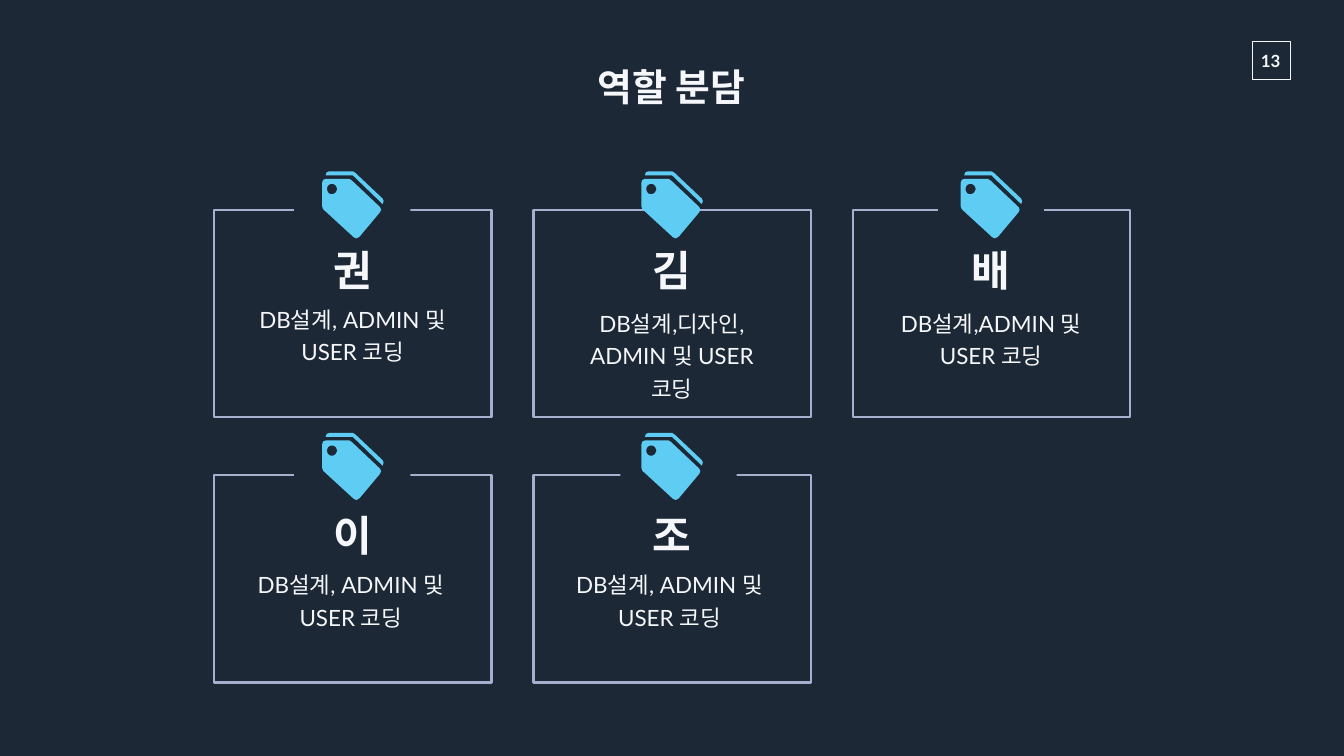
import math

import pptx
import pptx.dml.color
import pptx.enum.shapes
import pptx.enum.text
import pptx.util

Pt = pptx.util.Pt
RGB = pptx.dml.color.RGBColor
ANCHOR = pptx.enum.text.MSO_ANCHOR
NAVY = RGB(0x1C, 0x28, 0x35)
WHITE = RGB(0xF6, 0xF7, 0xFA)
STEEL = RGB(0xA6, 0xB0, 0xCE)
SKY = RGB(0x5E, 0xCC, 0xF3)

# Tag icon outlines, in hundredths of an inch
BACK = [(120, 65), (61, 8), (7, 8), (9, 2), (14, 0), (61, 0), (66, 3),
        (120, 54), (122, 59)]
FRONT = [(54, 15), (59, 18), (115, 71), (117, 76), (115, 81), (74, 130),
         (68, 133), (63, 131), (2, 75), (0, 69), (0, 23), (2, 17), (7, 15)]
HOLE = [(19.5 + 10 * math.cos(math.radians(a)),
         35 - 10 * math.sin(math.radians(a))) for a in range(0, 360, 15)]


class Deck:
    body = "Lato"
    head = "Montserrat"

    def __init__(self, wide, high):
        self.show = pptx.Presentation()
        self.show.slide_width, self.show.slide_height = Pt(wide), Pt(high)
        self.slide = self.show.slides.add_slide(self.show.slide_layouts[6])
        fill = self.slide.background.fill
        fill.solid()
        fill.fore_color.rgb = NAVY

    def paint(self, shape, fill=None, line=None, width=1):
        shape.shadow.inherit = False
        if fill is None:
            shape.fill.background()
        else:
            shape.fill.solid()
            shape.fill.fore_color.rgb = fill
        if line is None:
            shape.line.fill.background()
        else:
            shape.line.color.rgb = line
            shape.line.width = Pt(width)

    def rect(self, x, y, w, h, **look):
        kind = pptx.enum.shapes.MSO_SHAPE.RECTANGLE
        box = self.slide.shapes.add_shape(kind, Pt(x), Pt(y), Pt(w), Pt(h))
        self.paint(box, **look)

    def text(self, words, x, y, w, h, size, bold=False, font=body,
             space=None, wrap=True, pad=(7.2, 3.6), anchor=ANCHOR.TOP):
        box = self.slide.shapes.add_textbox(Pt(x), Pt(y), Pt(w), Pt(h))
        frame = box.text_frame
        frame.word_wrap = wrap
        frame.vertical_anchor = anchor
        frame.margin_left = frame.margin_right = Pt(pad[0])
        frame.margin_top = frame.margin_bottom = Pt(pad[1])
        para = frame.paragraphs[0]
        para.text = words
        para.alignment = pptx.enum.text.PP_ALIGN.CENTER
        if space:
            para.line_spacing = space
        para.font.name = font
        para.font.size = Pt(size)
        para.font.bold = bold
        para.font.color.rgb = WHITE

    def tag(self, x, y):
        pen = self.slide.shapes.build_freeform(*BACK[0], scale=Pt(0.72))
        pen.add_line_segments(BACK[1:])
        for ring in (FRONT, HOLE):
            pen.move_to(*ring[0])
            pen.add_line_segments(ring[1:])
        self.paint(pen.convert_to_shape(Pt(x), Pt(y)), fill=SKY)


def main():
    deck = Deck(1919.52, 1080)

    # Page number and title
    deck.rect(1788.5, 59, 54, 54, line=WHITE)
    deck.text("13", 1785.6, 64.8, 58.3, 44, 24, bold=True, wrap=False,
              pad=(14.4, 7.2))
    deck.text("역할 분담", 820.8, 80.6, 275.8, 85, 54, bold=True,
              font=deck.head, wrap=False, pad=(19.4, 9.4),
              anchor=ANCHOR.MIDDLE)

    # Column, row, name, duty, duty offset, gap in the top edge (left, width)
    duty = "DB설계, ADMIN 및 USER 코딩"
    cards = [
        (0, 0, "권", duty, (45, 126), (114, 166)),
        (1, 0, "김", "DB설계,디자인, ADMIN 및 USER 코딩", (45, 132.5), None),
        (2, 0, "배", "DB설계,ADMIN 및 USER 코딩", (45, 132.5), (122, 151)),
        (0, 1, "이", duty, (42.5, 126), (114, 166)),
        (1, 1, "조", duty, (41.5, 126), (124, 166)),
    ]
    tops = [299.5, 679]
    tags = [244.8, 618.5]

    # Cards
    for col, row, name, job, (dx, dy), gap in cards:
        x, y = 306 + 456 * col, tops[row]
        deck.rect(x, y, 396, 296, line=STEEL, width=3)
        if gap:
            deck.rect(x + gap[0], y - 72, gap[1], 100, fill=NAVY)
        deck.text(name, x + 45, y + 46, 305.3, 80, 60, bold=True)
        deck.text(job, x + dx, y + dy, 305.3, 139, 32, space=1.2)
        deck.tag(x + 154, tags[row])

    deck.show.save("out.pptx")


if __name__ == "__main__":
    main()
